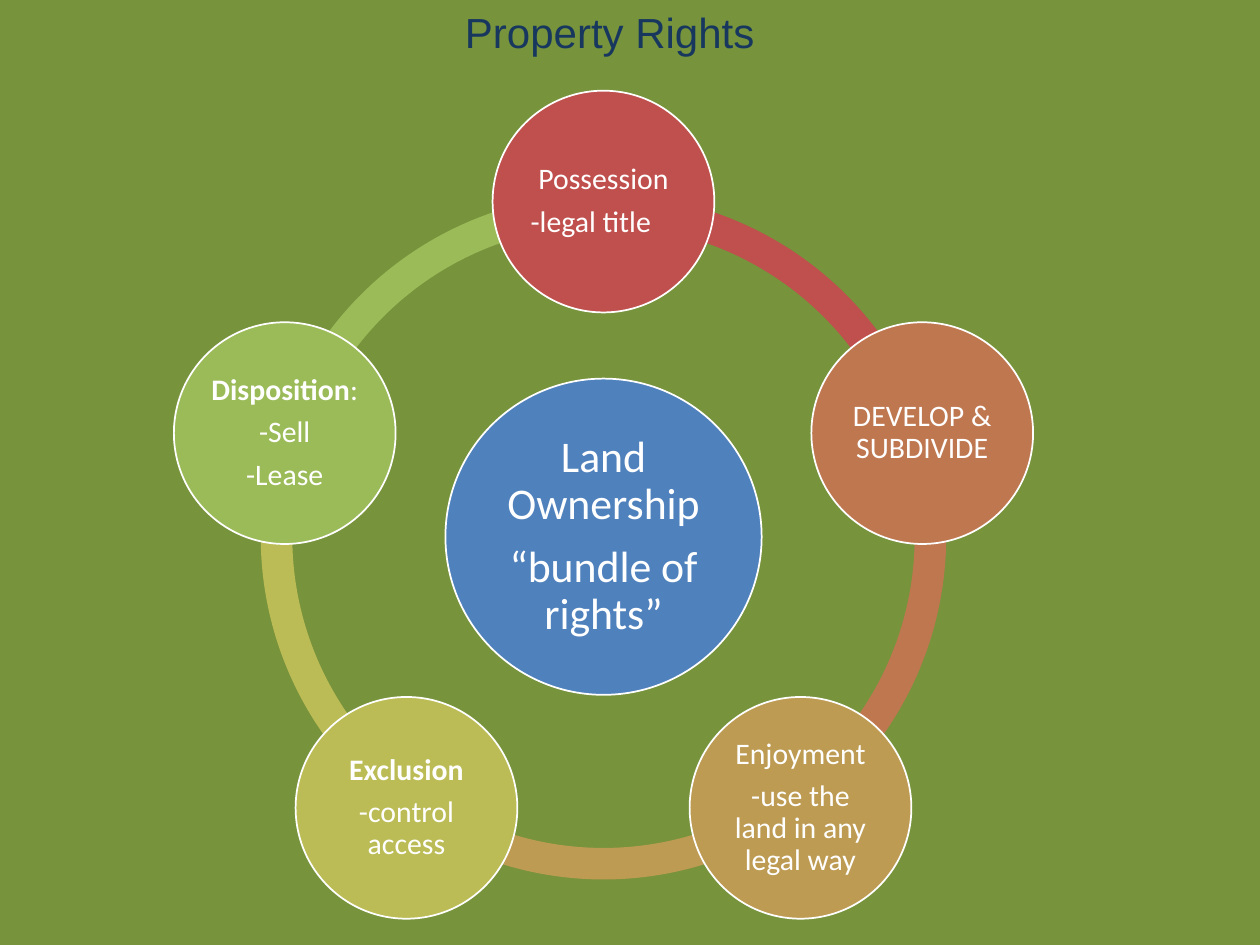
from dataclasses import dataclass
from math import cos, radians, sin

from pptx import Presentation
from pptx.dml.color import RGBColor as RGB
from pptx.enum.shapes import MSO_SHAPE as Shape
from pptx.enum.text import MSO_ANCHOR as Anchor, PP_ALIGN as Align
from pptx.util import Inches, Pt


@dataclass(frozen=True)
class Theme:
    back: str = "77933C"
    ink: str = "17375E"
    white: str = "FFFFFF"
    hub: str = "4F81BD"
    nodes: tuple = ("C0504D", "BF7750", "BD9B53", "BCBC56", "9BBB59")
    head: tuple = ("Arial", 24)
    large: tuple = ("Calibri", 25)
    small: tuple = ("Calibri", 17)


class Deck:
    """Style and current slide; lengths are in grid cells of 0.1 inch."""

    def __init__(self, theme, cols=100, rows=75):
        self.theme = theme
        self.prs = Presentation()
        self.prs.slide_width, self.prs.slide_height = self.cell(cols), self.cell(rows)
        self.slide = self.prs.slides.add_slide(self.prs.slide_layouts[5])
        self.paint(self.slide.background.fill, theme.back)

    def cell(self, count):
        return Inches(count / 10)

    def paint(self, fill, color):
        fill.solid()
        fill.fore_color.rgb = RGB.from_string(color)

    def style(self, obj, form):
        for name, value in form.items():
            setattr(obj, name, value)

    def letter(self, par, runs, face, color):
        for text, bold in runs:
            run = par.add_run()
            run.text = text
            form = {"name": face[0], "size": Pt(face[1]), "bold": bold}
            self.style(run.font, form)
            run.font.color.rgb = RGB.from_string(color)

    def title(self, text, x, y, wide, high):
        box = self.slide.shapes.title
        places = dict(zip(("left", "top", "width", "height"),
                          map(self.cell, (x, y, wide, high))))
        self.style(box, places)
        frame = box.text_frame
        self.style(frame, {"vertical_anchor": Anchor.TOP, "word_wrap": True,
                           "margin_left": Inches(0.19)})
        par = frame.paragraphs[0]
        par.alignment = Align.LEFT
        self.letter(par, [(text, False)], self.theme.head, self.theme.ink)

    def round(self, kind, x, y, size, color):
        """Add a square-boxed shape centred on x, y."""
        left, top = x - size / 2, y - size / 2
        shape = self.slide.shapes.add_shape(
            kind, *map(self.cell, (left, top, size, size)))
        shape.shadow.inherit = False
        self.paint(shape.fill, color)
        return shape

    def arc(self, x, y, size, start, end, color):
        shape = self.round(Shape.BLOCK_ARC, x, y, size, color)
        shape.line.fill.background()
        # Angles are stored in 60000ths of a degree, scaled by 100000
        for spot, value in enumerate((start * 0.6, end * 0.6, 0.046)):
            shape.adjustments[spot] = value

    def disc(self, x, y, size, color, lines, face, inset=0.02):
        shape = self.round(Shape.OVAL, x, y, size, color)
        shape.line.width = Pt(1)
        self.paint(shape.line.fill, self.theme.white)
        frame = shape.text_frame
        form = {f"margin_{side}": Inches(inset)
                for side in ("left", "top", "right", "bottom")}
        form |= {"word_wrap": True, "vertical_anchor": Anchor.MIDDLE}
        self.style(frame, form)
        for spot, runs in enumerate(lines):
            par = frame.add_paragraph() if spot else frame.paragraphs[0]
            self.style(par, {"alignment": Align.CENTER, "line_spacing": 0.9,
                             "space_after": Pt(0.35 * face[1])})
            self.letter(par, runs, face, self.theme.white)
        return shape


def plain(*texts):
    return [[(text, False)] for text in texts]


def main():
    theme = Theme()
    deck = Deck(theme)
    deck.title("Property Rights", 35, 0, 53.3, 5)

    # Ring: five nodes, clockwise from the top
    x, y, reach = 47.9, 42.6, 26.6
    rights = [
        plain("Possession", "-legal title"),
        plain("DEVELOP & SUBDIVIDE"),
        plain("Enjoyment", "-use the land in any legal way"),
        [[("Exclusion", True)], *plain("-control access")],
        [[("Disposition", True), (":", False)], *plain("-Sell", "-Lease")],
    ]
    step = 360 / len(rights)
    angles = [(270 + step * spot) % 360 for spot in range(len(rights))]

    # Arcs lead from each node to the next
    for angle, color in reversed(list(zip(angles, theme.nodes))):
        deck.arc(x, y, 54.4, angle, (angle + step) % 360, color)

    # Hub
    deck.disc(x, y, 25.1, theme.hub,
              plain("Land Ownership", "“bundle of rights”"), theme.large, 0.03)

    # Nodes
    discs = [deck.disc(x + reach * cos(radians(angle)),
                       y + reach * sin(radians(angle)),
                       17.6, color, lines, theme.small)
             for angle, color, lines in zip(angles, theme.nodes, rights)]

    # The legal title line sits left of centre
    note = discs[0].text_frame.paragraphs[1]
    note._p.get_or_add_pPr().set("marR", str(Inches(0.2)))

    deck.prs.save("out.pptx")


if __name__ == "__main__":
    main()
